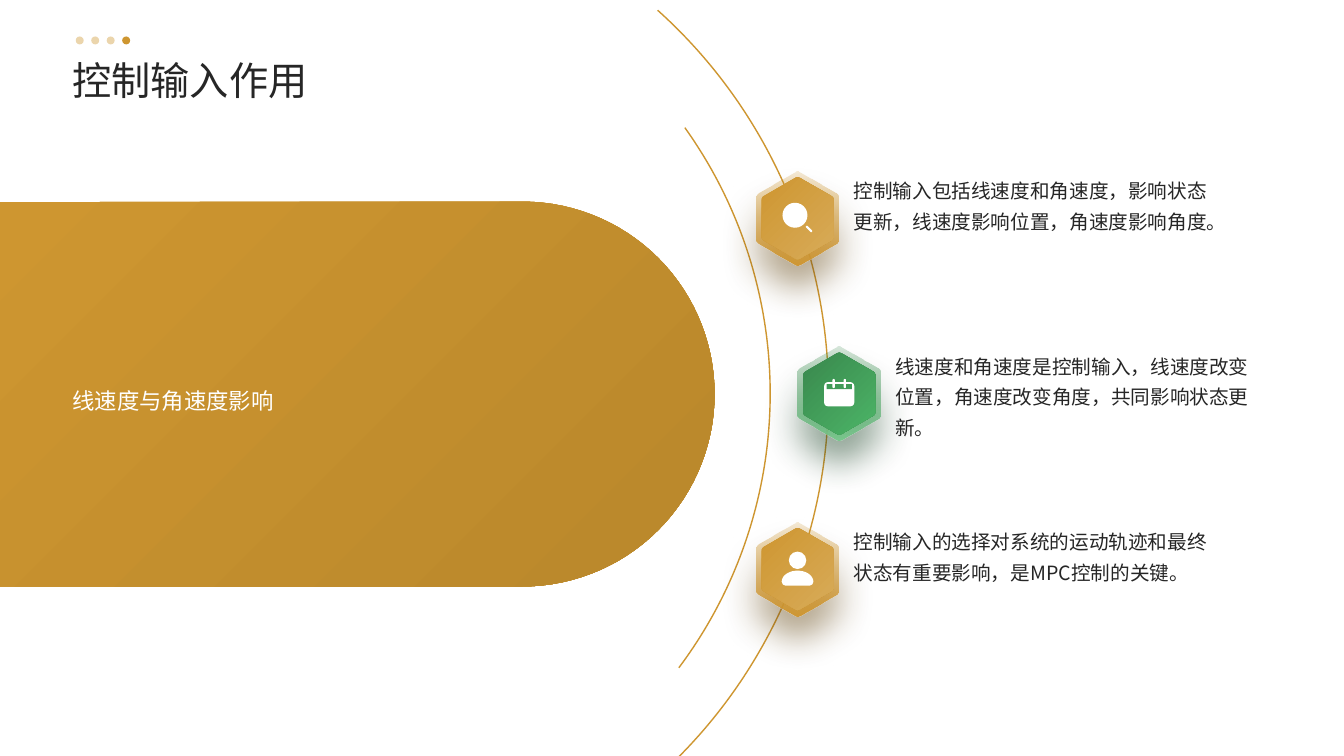
from math import cos, sin, radians
from lxml import etree
from pptx import Presentation
from pptx.dml.color import RGBColor
from pptx.enum.shapes import MSO_CONNECTOR, MSO_SHAPE as SHAPE
from pptx.enum.text import MSO_ANCHOR as ANCHOR
from pptx.oxml.ns import qn
from pptx.util import Cm, Pt

FONT = "Noto Sans CJK SC"
GOLD = RGBColor(0xCE, 0x96, 0x30)
GOLD_DEEP = RGBColor(0xB9, 0x87, 0x2B)
GOLD_RIM = RGBColor(0xD0, 0x98, 0x34)
GOLD_LIGHT = RGBColor(0xD8, 0xAB, 0x59)
GOLD_SHADE = RGBColor(0x67, 0x4B, 0x18)
GREEN = RGBColor(0x39, 0x88, 0x4D)
GREEN_MID = RGBColor(0x40, 0x9B, 0x58)
GREEN_RIM = RGBColor(0x79, 0xC7, 0x8D)
GREEN_LIGHT = RGBColor(0x4C, 0xB4, 0x67)
GREEN_SHADE = RGBColor(0x1C, 0x44, 0x27)
WHITE = RGBColor(0xFF, 0xFF, 0xFF)
INK = RGBColor(0x26, 0x26, 0x26)

GOLD_BADGE = {"base": GOLD, "rim": GOLD_RIM, "light": GOLD_LIGHT, "shade": GOLD_SHADE}
GREEN_BADGE = {"base": GREEN, "rim": GREEN_RIM, "light": GREEN_LIGHT, "shade": GREEN_SHADE}


def set_alpha(color_el, percent):
    etree.SubElement(color_el, qn("a:alpha"), val=str(percent * 1000))


def paint(sp, color, alpha=None):
    """Flat fill without outline or shadow."""
    sp.shadow.inherit = False
    sp.line.fill.background()
    sp.fill.solid()
    sp.fill.fore_color.rgb = color
    if alpha:
        set_alpha(sp._element.spPr.find(".//" + qn("a:srgbClr")), alpha)


def paint_gradient(sp, start, end, angle, start_alpha=None):
    """Two-stop gradient; the angle runs clockwise in degrees."""
    sp.shadow.inherit = False
    sp.line.fill.background()
    sp.fill.gradient()
    sp.fill.gradient_angle = 360 - angle
    for stop, color, position in zip(sp.fill.gradient_stops, (start, end), (0, 1)):
        stop.color.rgb = color
        stop.position = position
    if start_alpha:
        set_alpha(sp._element.spPr.find(".//" + qn("a:srgbClr")), start_alpha)


def cast_shadow(sp, color):
    effects = sp._element.spPr.find(qn("a:effectLst"))
    shadow = etree.SubElement(effects, qn("a:outerShdw"), blurRad=str(Pt(26)),
                              dist=str(Pt(16)), dir="5400000", algn="t", rotWithShape="0")
    set_alpha(etree.SubElement(shadow, qn("a:srgbClr"), val=str(color)), 65)


def add_preset(s, kind, x, y, w, h):
    return s.shapes.add_shape(kind, Cm(x), Cm(y), Cm(w), Cm(h))


def add_outline(s, points):
    pts = [(Cm(x), Cm(y)) for x, y in points]
    builder = s.shapes.build_freeform(*pts[0], scale=1.0)
    builder.add_line_segments(pts[1:], close=True)
    return builder.convert_to_shape()


def add_text(s, text, x, y, w, h, size, color, spacing, anchor=ANCHOR.TOP):
    tf = s.shapes.add_textbox(Cm(x), Cm(y), Cm(w), Cm(h)).text_frame
    frame = {"word_wrap": True, "vertical_anchor": anchor, "margin_left": 0,
             "margin_right": 0, "margin_top": 0, "margin_bottom": 0}
    for name, value in frame.items():
        setattr(tf, name, value)
    p = tf.paragraphs[0]
    p.line_spacing = spacing
    r = p.add_run()
    r.text = text
    r.font.size, r.font.name, r.font.color.rgb = Pt(size), FONT, color
    etree.SubElement(r._r.get_or_add_rPr(), qn("a:ea"), typeface=FONT)


def arc_points(cx, cy, rx, ry, start, end, step=3):
    return [(cx + rx * cos(radians(a)), cy + ry * sin(radians(a)))
            for a in range(start, end + 1, step)]


def hexagon_points(cx, cy, radius, cut=0.07):
    """Upright hexagon whose corners are softened over the cut length."""
    corners = arc_points(cx, cy, radius, radius, -90, 210, 60)
    points = []
    for i, (x, y) in enumerate(corners):
        ends = [(x + (nx - x) * cut / radius, y + (ny - y) * cut / radius)
                for nx, ny in (corners[i - 1], corners[(i + 1) % 6])]
        for t in (0, 0.25, 0.5, 0.75, 1):
            weights = ((1 - t) ** 2, 2 * t * (1 - t), t ** 2)
            curve = (ends[0], (x, y), ends[1])
            points.append(tuple(sum(k * pt[axis] for k, pt in zip(weights, curve))
                                for axis in (0, 1)))
    return points


def draw_search(s, cx, cy):
    paint(add_preset(s, SHAPE.OVAL, cx - 0.38, cy - 0.39, 0.63, 0.63), WHITE)
    handle = s.shapes.add_connector(MSO_CONNECTOR.STRAIGHT, Cm(cx + 0.23), Cm(cy + 0.21),
                                    Cm(cx + 0.35), Cm(cy + 0.33))
    handle.line.color.rgb = WHITE
    handle.line.width = Pt(1.5)
    handle.line._get_or_add_ln().set("cap", "rnd")
    etree.SubElement(handle._element.spPr, qn("a:effectLst"))


def draw_calendar(s, cx, cy):
    page = add_preset(s, SHAPE.ROUNDED_RECTANGLE, cx - 0.38, cy - 0.29, 0.76, 0.61)
    page.adjustments[0] = 0.16
    paint(page, WHITE)
    paint(add_preset(s, SHAPE.RECTANGLE, cx - 0.32, cy - 0.24, 0.64, 0.13), GREEN_MID)
    for dx in (-0.14, 0.14):
        ring = add_preset(s, SHAPE.ROUNDED_RECTANGLE, cx + dx - 0.03, cy - 0.37, 0.06, 0.23)
        ring.adjustments[0] = 0.5
        paint(ring, WHITE)


def draw_person(s, cx, cy):
    paint(add_preset(s, SHAPE.OVAL, cx - 0.22, cy - 0.44, 0.44, 0.44), WHITE)
    shoulders = arc_points(cx, cy + 0.32, 0.4, 0.28, 180, 360, 10)
    hem = [(cx + dx, cy + dy) for dx, dy in
           ((0.37, 0.39), (0.3, 0.42), (-0.3, 0.42), (-0.37, 0.39))]
    paint(add_outline(s, shoulders + hem), WHITE)


def draw_title(s, x, y, w, h):
    add_text(s, "控制输入作用", x, y, w, h, 28, INK, 1.1, ANCHOR.MIDDLE)
    for i in range(4):
        dot = add_preset(s, SHAPE.OVAL, x + 0.08 + i * 0.39, y - 0.38, 0.2, 0.2)
        paint(dot, GOLD, None if i == 3 else 40)


def draw_arc(s, cx, cy, radius, start, end):
    arc = add_preset(s, SHAPE.ARC, cx - radius, cy - radius, 2 * radius, 2 * radius)
    arc.shadow.inherit = False
    arc.fill.background()
    arc.line.color.rgb = GOLD
    arc.line.width = Pt(1)
    for i, angle in enumerate((start, end)):
        arc.adjustments[i] = angle * 0.6  # 60000 units per degree over 100000


def draw_topic(s, x, y, w, h):
    r = h / 2
    cap = arc_points(x + w - r, y + r, r, r, -90, 90)
    pill = add_outline(s, [(x, y)] + cap + [(x, y + h)])
    paint_gradient(pill, GOLD, GOLD_DEEP, 45)
    add_text(s, "线速度与角速度影响", x + 1.83, y, 14.12, h, 16, WHITE, 1.5, ANCHOR.MIDDLE)


def draw_point(s, cx, cy, text, colors, draw_icon):
    """Badge centred on the given point, with its text on the right."""
    rim = add_outline(s, hexagon_points(cx, cy, 1.2))
    paint_gradient(rim, colors["base"], colors["rim"], 90, 20)
    cast_shadow(rim, colors["shade"])
    face = add_outline(s, hexagon_points(cx, cy, 1.05))
    paint_gradient(face, colors["base"], colors["light"], 45)
    draw_icon(s, cx, cy)
    add_text(s, text, cx + 1.41, cy - 1.16, 9.27, 2.29, 14, INK, 1.3)


POINTS = [
    (20.1, "控制输入包括线速度和角速度，影响状态更新，线速度影响位置，角速度影响角度。",
     GOLD_BADGE, draw_search),
    (21.15, "线速度和角速度是控制输入，线速度改变位置，角速度改变角度，共同影响状态更新。",
     GREEN_BADGE, draw_calendar),
    (20.1, "控制输入的选择对系统的运动轨迹和最终状态有重要影响，是MPC控制的关键。",
     GOLD_BADGE, draw_person),
]


def main():
    prs = Presentation()
    prs.slide_width, prs.slide_height = Cm(33.87), Cm(19.05)
    s = prs.slides.add_slide(prs.slide_layouts[6])
    for radius, start, end in ((12.99, 311.95, 47.44), (11.52, 324.43, 36.85)):
        draw_arc(s, 7.89, 9.92, radius, start, end)
    draw_topic(s, 0, 5.08, 18.01, 9.7)
    for i, (cx, text, colors, draw_icon) in enumerate(POINTS):
        draw_point(s, cx, 5.5 + i * 4.42, text, colors, draw_icon)
    draw_title(s, 1.83, 1.3, 30.18, 1.3)
    prs.save("out.pptx")


if __name__ == "__main__":
    main()
